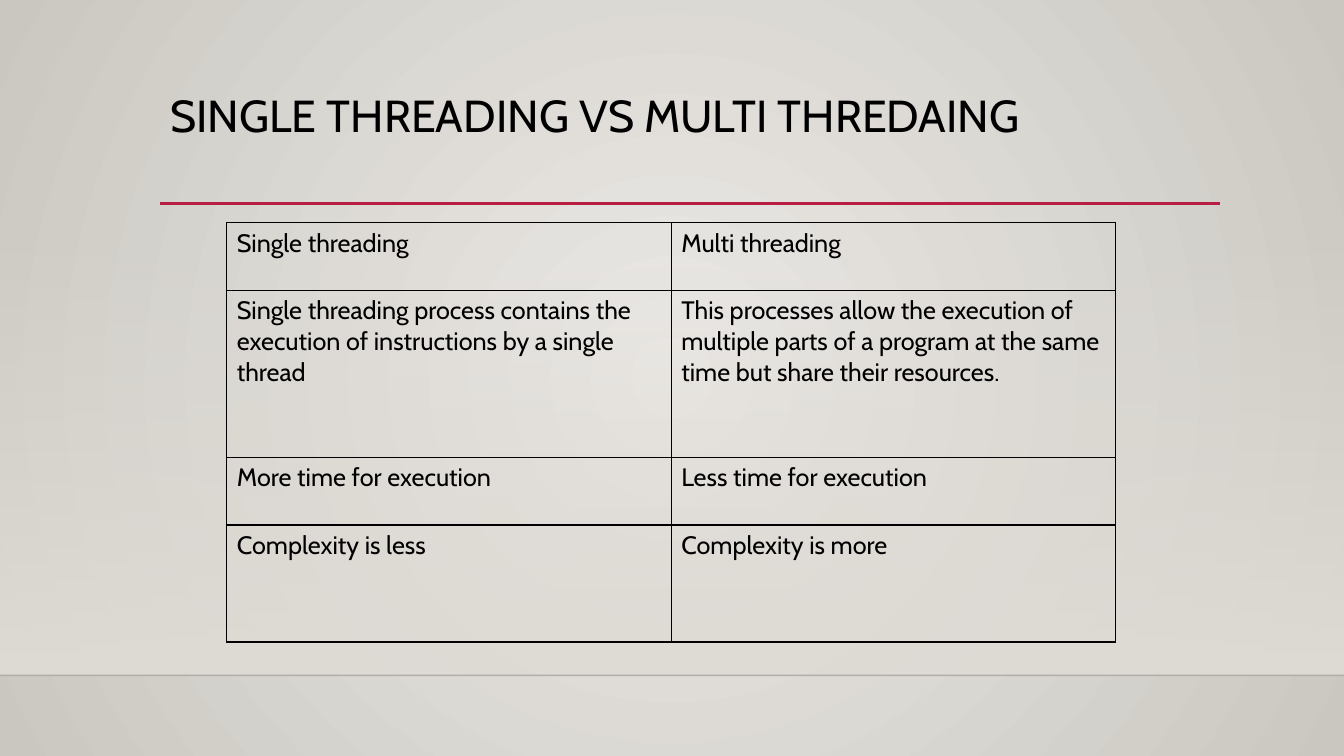
from dataclasses import dataclass

from lxml.etree import SubElement
from pptx import Presentation
from pptx.dml.color import RGBColor
from pptx.enum.shapes import MSO_CONNECTOR, MSO_SHAPE
from pptx.oxml import parse_xml
from pptx.oxml.ns import nsdecls, qn
from pptx.slide import Slide
from pptx.text.text import TextFrame
from pptx.util import Pt


@dataclass(frozen=True)
class Theme:
    font: str = "Cabin"
    ink: str = "000000"
    accent: str = "B71E42"
    ledge: str = "000001"
    wall: str = "DFDBD5"
    glow: str = "ECEAE7"
    edge: str = "CAC7C1"
    title: int = 32
    body: int = 18


@dataclass(frozen=True)
class Rule:
    left: float
    right: float
    top: float
    color: str
    width: float
    alpha: int = 100


@dataclass(frozen=True)
class Row:
    height: float
    single: str
    multi: str


THEME = Theme()
WIDTH, HEIGHT = 960, 540
FLOOR = 482.4
TOP = 159.12
RULES = (
    Rule(0, WIDTH, FLOOR, THEME.ledge, 1, 20),
    Rule(114.5, 871.2, 145.44, THEME.accent, 2.5),
)
ROWS = (
    Row(48.24, "Single threading", "Multi threading"),
    Row(119.52,
        "Single threading process contains the execution of instructions by a single thread",
        "This processes allow the execution of multiple parts of a program "
        "at the same time but share their resources."),
    Row(48.24, "More time for execution", "Less time for execution"),
    Row(83.52, "Complexity is less", "Complexity is more"),
)


def grade(first: str, last: str, alpha: int, shade: str) -> str:
    """Return gradient XML; alpha is the opacity in percent of the first stop."""
    return (
        f'<a:gradFill {nsdecls("a")} rotWithShape="1"><a:gsLst>'
        f'<a:gs pos="0"><a:srgbClr val="{first}"><a:alpha val="{alpha * 1000}"/></a:srgbClr></a:gs>'
        f'<a:gs pos="100000"><a:srgbClr val="{last}"/></a:gs>'
        f'</a:gsLst>{shade}</a:gradFill>'
    )


def paint_back(slide: Slide) -> None:
    shade = ('<a:path path="circle"><a:fillToRect l="50000" t="50000" '
             'r="50000" b="50000"/></a:path>')
    fill = grade(THEME.glow, THEME.edge, 100, shade)
    slide.element.cSld.insert(0, parse_xml(
        f'<p:bg {nsdecls("p", "a")}><p:bgPr>{fill}<a:effectLst/></p:bgPr></p:bg>'))


def add_wall(slide: Slide) -> None:
    wall = slide.shapes.add_shape(
        MSO_SHAPE.RECTANGLE, Pt(0), Pt(TOP), Pt(WIDTH), Pt(FLOOR - TOP))
    wall.shadow.inherit = False
    wall.line.fill.background()
    wall.fill.gradient()
    props = wall.element.spPr
    fade = grade(THEME.wall, THEME.wall, 0, '<a:lin ang="5400000" scaled="0"/>')
    props.replace(props.find(qn("a:gradFill")), parse_xml(fade))


def add_rule(slide: Slide, rule: Rule) -> None:
    line = slide.shapes.add_connector(
        MSO_CONNECTOR.STRAIGHT, Pt(rule.left), Pt(rule.top), Pt(rule.right), Pt(rule.top))
    line.line.color.rgb = RGBColor.from_string(rule.color)
    line.line.width = Pt(rule.width)
    props = line.element.spPr
    if rule.alpha < 100:
        color = props.find(".//" + qn("a:srgbClr"))
        SubElement(color, qn("a:alpha"), val=str(rule.alpha * 1000))
    SubElement(props, qn("a:effectLst"))


def write(frame: TextFrame, text: str, size: int) -> None:
    frame.text = text
    frame.word_wrap = True
    font = frame.paragraphs[0].runs[0].font
    font.name = THEME.font
    font.size = Pt(size)
    font.color.rgb = RGBColor.from_string(THEME.ink)


def add_title(slide: Slide) -> None:
    box = slide.shapes.add_textbox(Pt(114.5), Pt(63.36), Pt(756), Pt(82.8))
    write(box.text_frame, "SINGLE THREADING VS MULTI THREDAING", THEME.title)
    box.text_frame.paragraphs[0].line_spacing = 0.9


def add_grid(slide: Slide) -> None:
    total = sum(row.height for row in ROWS)
    table = slide.shapes.add_table(
        len(ROWS), 2, Pt(162), Pt(TOP), Pt(635.04), Pt(total)).table
    table.first_row = table.horz_banding = False
    for index, row in enumerate(ROWS):
        table.rows[index].height = Pt(row.height)
        for column, text in enumerate((row.single, row.multi)):
            cell = table.cell(index, column)
            write(cell.text_frame, text, THEME.body)
            props = cell._tc.get_or_add_tcPr()
            for side in "LRTB":
                props.append(parse_xml(
                    f'<a:ln{side} {nsdecls("a")} w="{Pt(1)}"><a:solidFill>'
                    f'<a:srgbClr val="{THEME.ink}"/></a:solidFill></a:ln{side}>'))
            cell.fill.background()


def main() -> None:
    deck = Presentation()
    deck.slide_width, deck.slide_height = Pt(WIDTH), Pt(HEIGHT)
    slide = deck.slides.add_slide(deck.slide_layouts[6])
    paint_back(slide)
    add_wall(slide)
    for rule in RULES:
        add_rule(slide, rule)
    add_title(slide)
    add_grid(slide)
    deck.save("out.pptx")


if __name__ == "__main__":
    main()
